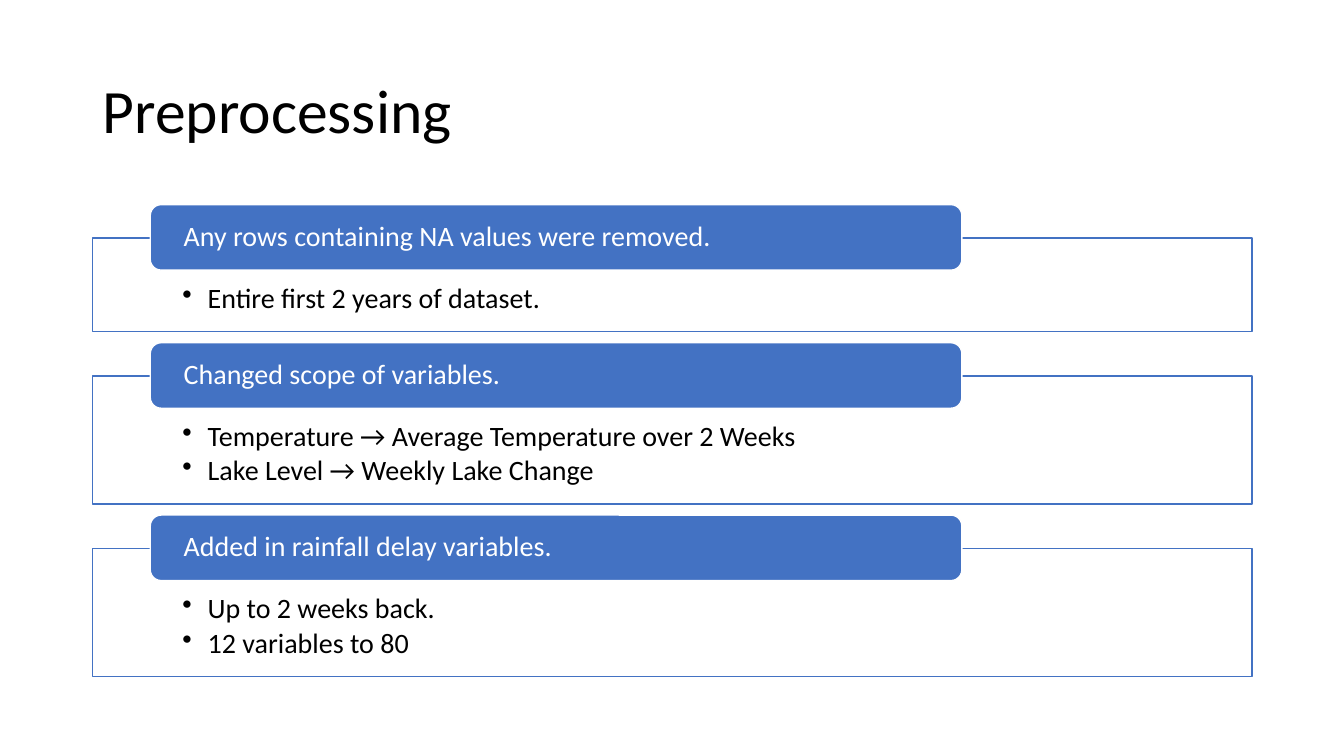
"""Build the Preprocessing slide: three headed boxes of data cleaning steps."""
from lxml import etree
from pptx import Presentation
from pptx.dml.color import RGBColor
from pptx.enum.shapes import MSO_SHAPE as Shape
from pptx.enum.text import MSO_ANCHOR as Anchor, PP_ALIGN as Align
from pptx.oxml.ns import qn
from pptx.util import Inches, Pt

BLUE = RGBColor(0x43, 0x72, 0xC3)
WHITE = RGBColor(0xFF, 0xFF, 0xFF)
BLACK = RGBColor(0x00, 0x00, 0x00)

LEFT, WIDTH = 0.92, 11.5
BOX_GAP = 0.44
HEADER_RISE = 0.33
STEPS = [
    ("Any rows containing NA values were removed.", 0.93,
     ["Entire first 2 years of dataset."]),
    ("Changed scope of variables.", 1.27,
     ["Temperature → Average Temperature over 2 Weeks", "Lake Level → Weekly Lake Change"]),
    ("Added in rainfall delay variables.", 1.27,
     ["Up to 2 weeks back.", "12 variables to 80"]),
]


def add_panel(kind, left, top, width, height, fill, line, margins):
    panel = slide.shapes.add_shape(kind, Inches(left), Inches(top), Inches(width), Inches(height))
    panel.shadow.inherit = False
    panel.fill.solid()
    panel.fill.fore_color.rgb = fill
    panel.line.color.rgb = line
    panel.line.width = Pt(1)
    frame = panel.text_frame
    frame.word_wrap = True
    side, frame.margin_top, frame.margin_bottom = [Inches(margin) for margin in margins]
    frame.margin_left = frame.margin_right = side
    return panel


def style_paragraph(paragraph, text, size, color):
    paragraph.text = text
    paragraph.alignment = Align.LEFT
    paragraph.line_spacing = 0.9
    paragraph.font.name = "Calibri"
    paragraph.font.size = Pt(size)
    paragraph.font.color.rgb = color


presentation = Presentation()
presentation.slide_width = Inches(13.33)
presentation.slide_height = Inches(7.5)
slide = presentation.slides.add_slide(presentation.slide_layouts[5])

title = slide.shapes.title
title.left, title.top = Inches(LEFT), Inches(0.4)
title.width, title.height = Inches(WIDTH), Inches(1.45)
title.text_frame.vertical_anchor = Anchor.MIDDLE
style_paragraph(title.text_frame.paragraphs[0], "Preprocessing", 44, BLACK)

box_top = 2.36
for heading, box_height, details in STEPS:
    box = add_panel(Shape.RECTANGLE, LEFT, box_top, WIDTH, box_height, WHITE, BLUE,
                    (0.89, 0.46, 0.16))
    box_color = box.fill._xPr.find(qn("a:solidFill"))[0]
    etree.SubElement(box_color, qn("a:alpha"), val="90000")
    box.text_frame.vertical_anchor = Anchor.TOP
    for index, detail in enumerate(details):
        paragraph = box.text_frame.add_paragraph() if index else box.text_frame.paragraphs[0]
        style_paragraph(paragraph, detail, 20, BLACK)
        paragraph.space_before = Pt(3 if index else 0)
        properties = paragraph._p.get_or_add_pPr()
        properties.set("marL", str(Inches(0.25)))
        properties.set("indent", str(Inches(-0.25)))
        bullet = etree.Element(qn("a:buChar"), char="•")
        properties.find(qn("a:defRPr")).addprevious(bullet)

    header = add_panel(Shape.ROUNDED_RECTANGLE, 1.49, box_top - HEADER_RISE, 8.05, 0.65,
                       BLUE, WHITE, (0.3, 0, 0))
    header.adjustments[0] = 0.167
    header.text_frame.vertical_anchor = Anchor.MIDDLE
    style_paragraph(header.text_frame.paragraphs[0], heading, 20, WHITE)
    box_top += box_height + BOX_GAP

presentation.save("out.pptx")
